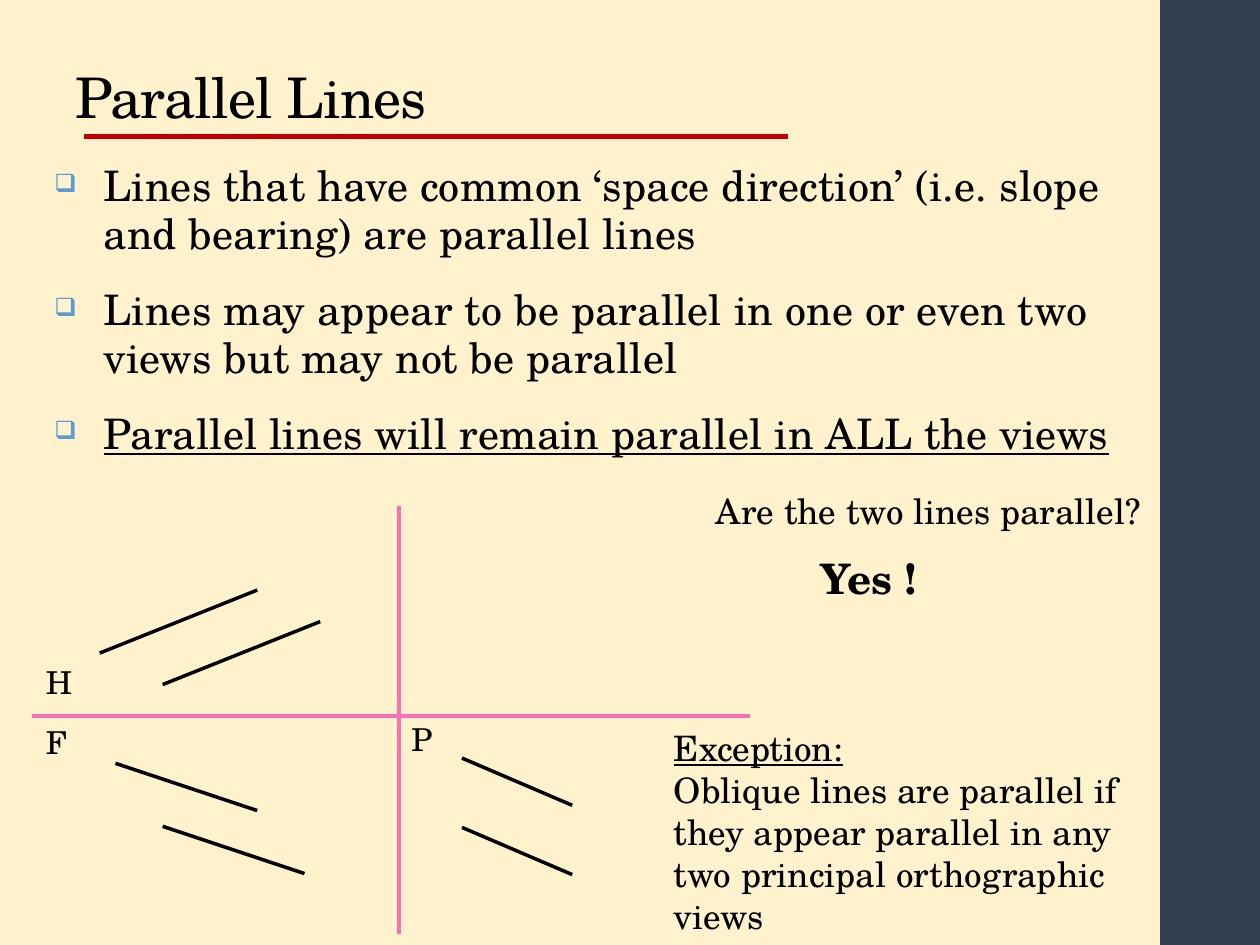
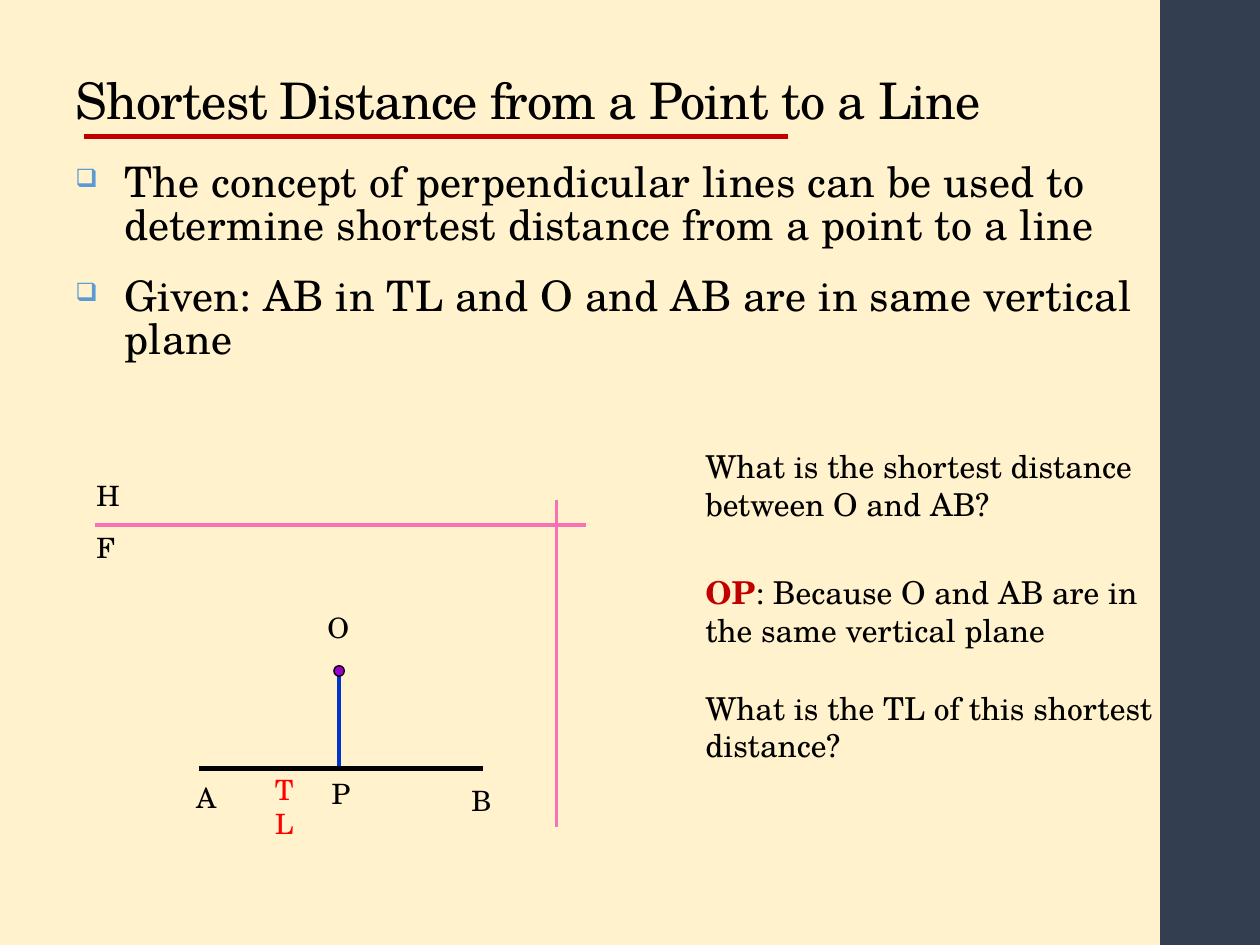
from dataclasses import dataclass

from lxml.etree import SubElement
from pptx import Presentation
from pptx.dml.color import RGBColor
from pptx.enum.shapes import MSO_CONNECTOR as Connector, MSO_SHAPE as Preset
from pptx.enum.text import MSO_ANCHOR as Anchor
from pptx.oxml.ns import qn
from pptx.util import Inches, Pt

COLUMNS, ROWS = 120, 90
SLIDE_WIDTH, SLIDE_HEIGHT = Inches(10), Inches(7.5)


@dataclass(frozen=True)
class Theme:
    """Colours, font and type sizes of the deck."""
    font: str = "TeX Gyre Schola"
    paper: str = "FFF2CC"
    band: str = "333F50"
    accent: str = "C00000"
    bullet: str = "5B9BD5"
    ink: str = "000000"
    fold: str = "F672B4"
    distance: str = "0033CC"
    point: str = "9900CC"
    true_length: str = "FF0000"
    title: float = 32
    long_title: float = 28.8
    body: float = 24
    remark: float = 20
    caption: float = 18
    label: float = 16


THEME = Theme()


@dataclass(frozen=True)
class Box:
    """Rectangle measured in grid columns and rows."""
    left: float
    top: float
    width: float
    height: float

    def inner(self, left, top, width, height):
        """Return a box whose corner is counted from this one."""
        return Box(self.left + left, self.top + top, width, height)

    def point(self, column, row):
        """Return slide lengths of a point counted from this corner."""
        return across(self.left + column), down(self.top + row)

    def frame(self):
        """Return left, top, width and height as slide lengths."""
        return *self.point(0, 0), across(self.width), down(self.height)


def across(columns):
    """Turn columns into a length."""
    return round(SLIDE_WIDTH * columns / COLUMNS)


def down(rows):
    """Turn rows into a length."""
    return round(SLIDE_HEIGHT * rows / ROWS)


def rgb(color):
    """Turn a hex string into a colour."""
    return RGBColor.from_string(color)


def write(para, text, size=THEME.caption, color=THEME.ink, bold=False,
          underline=False, tracking=0):
    """Add a formatted span to a paragraph."""
    span = para.add_run()
    span.text = text
    font = span.font
    font.name, font.size, font.bold = THEME.font, Pt(size), bold
    font.underline = underline
    font.color.rgb = rgb(color)
    if tracking:
        span._r.get_or_add_rPr().set("spc", str(round(tracking * 100)))


def add_text(slide, box, *paragraphs, wrap=True, anchor=Anchor.TOP, **style):
    """Add a text box of paragraphs, each a list of (text, format) spans."""
    frame = slide.shapes.add_textbox(*box.frame()).text_frame
    frame.word_wrap, frame.vertical_anchor = wrap, anchor
    for index, spans in enumerate(paragraphs):
        para = frame.add_paragraph() if index else frame.paragraphs[0]
        for text, extra in [(spans, {})] if isinstance(spans, str) else spans:
            write(para, text, **{**style, **extra})
    return frame


def add_line(slide, box, start, end, color=THEME.ink, weight=2):
    """Draw a line between two points of a box."""
    line = slide.shapes.add_connector(
        Connector.STRAIGHT, *box.point(*start), *box.point(*end))
    line.line.color.rgb, line.line.width = rgb(color), Pt(weight)
    SubElement(line._element.spPr, qn("a:effectLst"))


def add_shape(slide, preset, box, fill, outline=None):
    """Add a filled shape with an optional thin outline."""
    shape = slide.shapes.add_shape(preset, *box.frame())
    shape.shadow.inherit = False
    shape.fill.solid()
    shape.fill.fore_color.rgb = rgb(fill)
    if outline:
        shape.line.color.rgb, shape.line.width = rgb(outline), Pt(0.75)
    else:
        shape.line.fill.background()


def add_bullet(para):
    """Give a paragraph a hanging square bullet."""
    props = para._p.get_or_add_pPr()
    indent = Inches(0.39)
    props.set("marL", str(indent))
    props.set("indent", str(-indent))
    color = SubElement(props, qn("a:buClr"))
    SubElement(color, qn("a:srgbClr"), val=THEME.bullet)
    SubElement(props, qn("a:buSzPct"), val="60000")
    SubElement(props, qn("a:buChar"), char="❑")


def add_body(slide, box, *points, spacing):
    """Add the bulleted points of a slide."""
    frame = add_text(slide, box, *points, size=THEME.body, tracking=0.1)
    for index, para in enumerate(frame.paragraphs):
        add_bullet(para)
        para.line_spacing = spacing
        para.space_before, para.space_after = Pt(14 if index else 0), Pt(2)


def add_page(deck, title, size):
    """Add a slide with background, side band, rule and title."""
    slide = deck.slides.add_slide(deck.slide_layouts[6])
    slide.background.fill.solid()
    slide.background.fill.fore_color.rgb = rgb(THEME.paper)
    page = Box(0, 0, COLUMNS, ROWS)
    add_shape(slide, Preset.RECTANGLE, page.inner(110.5, 0, 9.5, ROWS), THEME.band)
    add_line(slide, page, (8, 13), (75, 13), THEME.accent, 3)
    frame = add_text(slide, page.inner(6, 1, 95.4, 12), title,
                     anchor=Anchor.BOTTOM, size=size, tracking=-0.5)
    frame.paragraphs[0].line_spacing = 0.9
    return slide


def draw_three_views(slide, box):
    """Draw a pair of parallel lines in the H, F and P views."""
    add_line(slide, box, (0, 20), (box.width, 20), THEME.fold)
    add_line(slide, box, (35, 0), (35, box.height), THEME.fold)
    pairs = [((6.5, 14), (15, -6), (6, 3)),
             ((8, 24.5), (13.5, 4.5), (4.5, 6)),
             ((41, 24), (10.5, 4.5), (0, 6.6))]
    for (column, row), (run, rise), shift in pairs:
        for step in (0, 1):
            start = column + step * shift[0], row + step * shift[1]
            add_line(slide, box, start, (start[0] + run, start[1] + rise))
    for name, column, row in [("H", 0.2, 14.4), ("F", 0.2, 20.1), ("P", 35, 19.8)]:
        add_text(slide, box.inner(column, row, 6, 4.8), name)


def draw_point_and_line(slide, box):
    """Draw point O above line AB with the perpendicular OP."""
    add_line(slide, box, (24.3, 18.8), (24.3, 28.4), THEME.distance)
    add_shape(slide, Preset.OVAL, box.inner(23.8, 18.4, 1, 1), THEME.point, THEME.ink)
    add_line(slide, box, (1, 5), (47.8, 5), THEME.fold)
    add_line(slide, box, (45, 2.6), (45, box.height), THEME.fold)
    add_line(slide, box, (11, 28.2), (38, 28.2), weight=3)
    labels = [("H", 0, 0), ("F", 0, 4.9), ("O", 22, 12.6),
              ("A", 9.5, 28.7), ("P", 22.4, 28.4), ("B", 35.7, 29)]
    for name, column, row in labels:
        add_text(slide, box.inner(column, row, 4, 4.4), name,
                 wrap=False, size=THEME.label)
    add_text(slide, box.inner(17, 28, 4.9, 4.4), "TL",
             size=THEME.label, color=THEME.true_length)


def add_parallel_remarks(slide, box):
    """Add the question, its answer and the exception."""
    add_text(slide, box.inner(4, 0, 44, 5.3), "Are the two lines parallel?",
             size=THEME.remark)
    add_text(slide, box.inner(14, 6, 15, 6), "Yes !", size=THEME.body, bold=True)
    add_text(slide, box.inner(0, 22.6, 47, 21.4),
             [("Exception:", {"underline": True})],
             "Oblique lines are parallel if they appear parallel in any two "
             "principal orthographic views", size=THEME.remark)


def add_distance_remarks(slide, box):
    """Add the two questions and the answer between them."""
    add_text(slide, box.inner(0, 0, 47, 9),
             "What is the shortest distance between O and AB?")
    add_text(slide, box.inner(0, 12, 47, 9),
             [("OP", {"color": THEME.accent, "bold": True}),
              (": Because O and AB are in the same vertical plane", {})])
    add_text(slide, box.inner(0, 23, box.width, 6),
             "What is the TL of this shortest distance?")


def build_parallel_lines(deck):
    """Build the slide on parallel lines."""
    slide = add_page(deck, "Parallel Lines", THEME.title)
    add_body(slide, Box(4, 15, 108, 33),
             "Lines that have common ‘space direction’ (i.e. slope and bearing) "
             "are parallel lines",
             "Lines may appear to be parallel in one or even two views but may "
             "not be parallel",
             [("Parallel lines will remain parallel in ALL the views",
               {"underline": True})],
             spacing=0.95)
    draw_three_views(slide, Box(3, 48.2, 68.4, 40.8))
    add_parallel_remarks(slide, Box(63, 46, 48, 44))


def build_shortest_distance(deck):
    """Build the slide on the distance from a point to a line."""
    slide = add_page(deck, "Shortest Distance from a Point to a Line",
                     THEME.long_title)
    add_body(slide, Box(6, 15, 108, 21),
             "The concept of perpendicular lines can be used to determine "
             "shortest distance from a point to a line",
             "Given: AB in TL and O and AB are in same vertical plane",
             spacing=0.85)
    draw_point_and_line(slide, Box(8, 45, 47.8, 33.8))
    add_distance_remarks(slide, Box(66, 42, 54, 29))


def main():
    """Build and save the deck."""
    deck = Presentation()
    deck.slide_width, deck.slide_height = SLIDE_WIDTH, SLIDE_HEIGHT
    build_parallel_lines(deck)
    build_shortest_distance(deck)
    deck.save("out.pptx")


if __name__ == "__main__":
    main()
